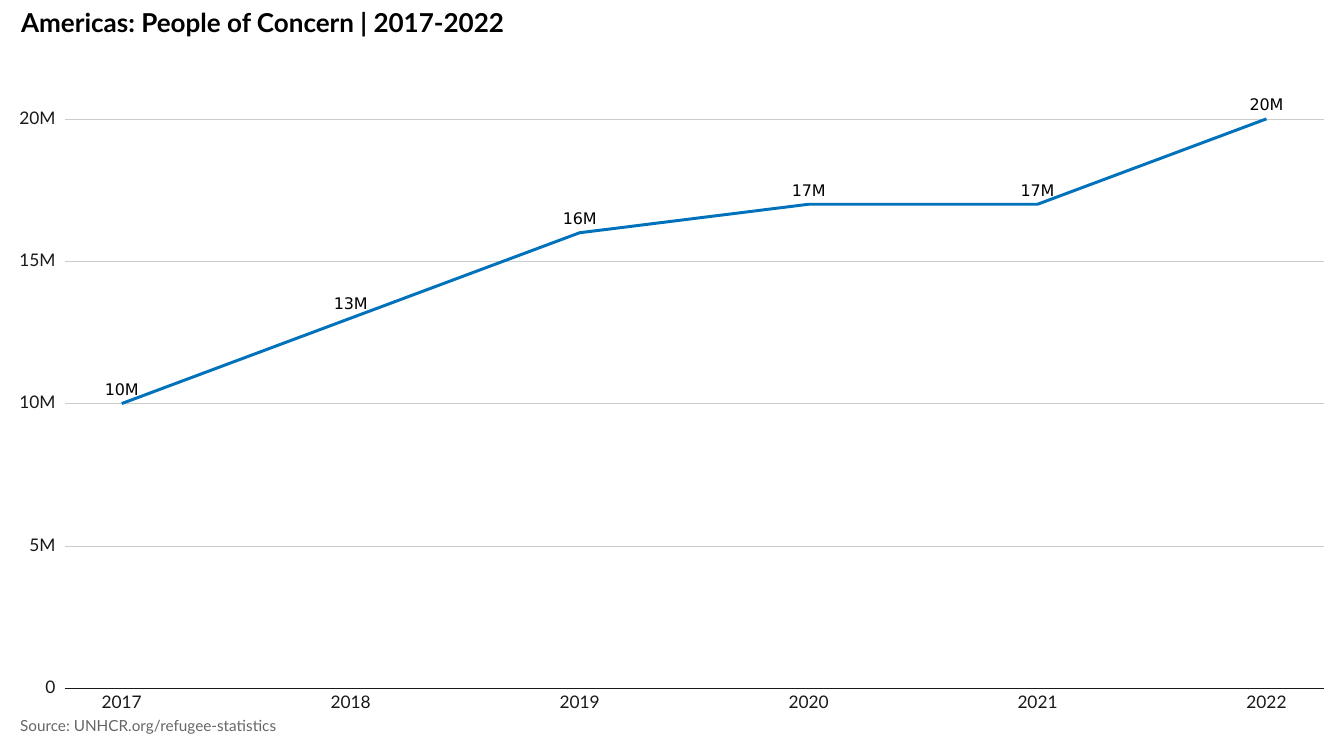
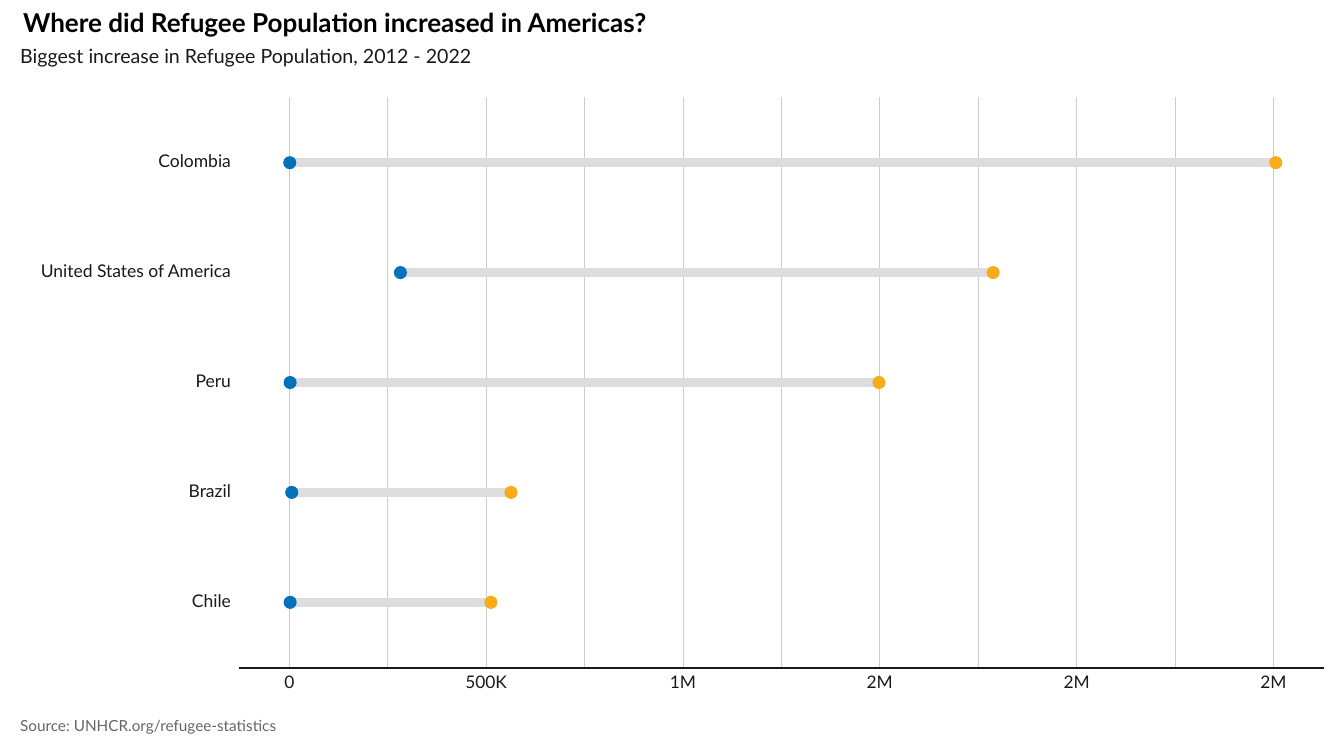
from lxml import etree
from pptx import Presentation
from pptx import util as u
from pptx.chart import data as chart_data
from pptx.dml.color import RGBColor
from pptx.enum import chart as charts, shapes, text
from pptx.oxml import parse_xml
from pptx.oxml.ns import nsdecls, qn

WIDTH, HEIGHT = 13.33, 7.5
COLORS = {name: RGBColor.from_string(code) for name, code in {
    "title": "000000", "text": "191919", "source": "666666", "grid": "CCCCCC",
    "range": "DDDDDD", "blue": "0072BC", "yellow": "FAAB18"}.items()}
ALIGN = text.PP_ALIGN
# Share of the box width that lies left of its anchor point
SHIFT = {ALIGN.LEFT: 0, ALIGN.CENTER: 0.5, ALIGN.RIGHT: 1}
NO_FILL = f"<c:spPr {nsdecls('c', 'a')}><a:noFill/><a:ln><a:noFill/></a:ln></c:spPr>"


def write(page, words, x, y, align=ALIGN.LEFT, width=1.0, size=12.4, color="text", bold=False):
    """Set one line of text, centred on height y and aligned to x."""
    height = 0.3
    box = page.shapes.add_textbox(u.Inches(x - SHIFT[align] * width), u.Inches(y - height / 2),
                                  u.Inches(width), u.Inches(height))
    frame = box.text_frame
    frame.word_wrap = True
    frame.vertical_anchor = text.MSO_ANCHOR.MIDDLE
    frame.margin_left = frame.margin_right = frame.margin_top = frame.margin_bottom = 0
    para = frame.paragraphs[0]
    para.text = words
    para.alignment = align
    para.line_spacing = u.Pt(size)
    para.font.name, para.font.size, para.font.bold = "Lato", u.Pt(size), bold
    para.font.color.rgb = COLORS[color]


def rule(page, x1, y1, x2, y2, color="grid", weight=0.53):
    """Draw a straight line without a shadow."""
    line = page.shapes.add_connector(shapes.MSO_CONNECTOR.STRAIGHT,
                                     *(u.Inches(v) for v in (x1, y1, x2, y2)))
    line.line.color.rgb = COLORS[color]
    line.line.width = u.Pt(weight)
    etree.SubElement(line._element.spPr, qn("a:effectLst"))


deck = Presentation()
deck.slide_width, deck.slide_height = u.Inches(WIDTH), u.Inches(HEIGHT)

pages = []
for title, x in (("Americas: People of Concern | 2017-2022", 0.21),
                 ("Where did Refugee Population increased in Americas?", 0.23)):
    page = deck.slides.add_slide(deck.slide_layouts[6])
    write(page, title, x, 0.25, width=12, size=18.6, color="title", bold=True)
    write(page, "Source: UNHCR.org/refugee-statistics", 0.2, 7.21, width=6, size=10.9,
          color="source")
    pages.append(page)
trend_page, increase_page = pages
RIGHT = 13.13

# Slide 1: people of concern by year, in millions
people = {"2017": 10, "2018": 13, "2019": 16, "2020": 17, "2021": 17, "2022": 20}
left, top, base = 0.64, 1.18, 6.83
year_step = (RIGHT - left) / 5.5
first_year = left + year_step / 4
row = (base - top) / 4

for index, label in enumerate(("0", "5M", "10M", "15M", "20M")):
    y = base - index * row
    rule(trend_page, left, y, RIGHT, y)
    write(trend_page, label, 0.55, y, ALIGN.RIGHT, width=0.5)
rule(trend_page, left, base, RIGHT, base, "text", 1.2)
for index, year in enumerate(people):
    write(trend_page, year, first_year + index * year_step, 6.98, ALIGN.CENTER)

trend_data = chart_data.CategoryChartData()
trend_data.categories = list(people)
trend_data.add_series("People of concern (millions)", list(people.values()))
trend = trend_page.shapes.add_chart(charts.XL_CHART_TYPE.LINE, 0, 0, deck.slide_width,
                                    deck.slide_height, trend_data).chart
trend.has_title = trend.has_legend = False
trend.font.name, trend.font.size = "Lato", u.Pt(12.4)
trend.plots[0].vary_by_categories = False
trend.value_axis.minimum_scale, trend.value_axis.maximum_scale = 0, 20
for axis in (trend.category_axis, trend.value_axis):
    axis.has_major_gridlines = False
    axis.visible = False

series = trend.plots[0].series[0]
series.smooth = False
series.marker.style = charts.XL_MARKER_STYLE.NONE
series.format.line.color.rgb = COLORS["blue"]
series.format.line.width = u.Pt(2.13)
labels = series.data_labels
labels.show_value = True
labels.position = charts.XL_LABEL_POSITION.ABOVE
labels.number_format, labels.number_format_is_linked = '0"M"', False
labels.font.name, labels.font.size = "DejaVu Sans", u.Pt(11.4)
labels.font.color.rgb = COLORS["title"]

# The first and last years sit on the edges of the plot
value_axis = trend.value_axis._element
for between in value_axis.findall(qn("c:crossBetween")):
    value_axis.remove(between)
value_axis.find(qn("c:crosses")).addnext(
    parse_xml(f"<c:crossBetween {nsdecls('c')} val='midCat'/>"))

# A see-through plot placed exactly on the drawn grid
shares = {"x": first_year / WIDTH, "y": top / HEIGHT,
          "w": 5 * year_step / WIDTH, "h": (base - top) / HEIGHT}
sizes = "".join(f"<c:{key} val='{share:.4f}'/>" for key, share in shares.items())
chart_element = trend._chartSpace.find(qn("c:chart"))
plot_area = chart_element.find(qn("c:plotArea"))
for layout in plot_area.findall(qn("c:layout")):
    plot_area.remove(layout)
plot_area.insert(0, parse_xml(
    f"<c:layout {nsdecls('c')}><c:manualLayout><c:layoutTarget val='inner'/>"
    f"<c:xMode val='edge'/><c:yMode val='edge'/>{sizes}</c:manualLayout></c:layout>"))
plot_area.append(parse_xml(NO_FILL))
chart_element.addnext(parse_xml(NO_FILL))

# Slide 2: refugees in 2012 and 2022, in thousands
countries = {"Colombia": (1, 2506), "United States of America": (282, 1788),
             "Peru": (2, 1498), "Brazil": (6, 563), "Chile": (2, 512)}
left, zero, top, base = 2.37, 2.87, 0.96, 6.63
column = 0.98 * (12.63 - zero) / 9.8  # one column is 250 thousand
row = (base - top) / 5.2
diameter = 0.12

write(increase_page, "Biggest increase in Refugee Population, 2012 - 2022", 0.2, 0.57,
      width=8, size=14)
for index in range(11):
    x = zero + index * column
    rule(increase_page, x, base, x, top)
rule(increase_page, left, base, RIGHT, base, "text", 1.2)
for index, label in enumerate(("0", "500K", "1M", "2M", "2M", "2M")):
    write(increase_page, label, zero + 2 * index * column, 6.78, ALIGN.CENTER)

for index, (country, values) in enumerate(countries.items()):
    y = top + (index + 0.6) * row
    start, end = (zero + value / 250 * column for value in values)
    write(increase_page, country, 2.29, y, ALIGN.RIGHT, width=2.1, size=12.5)
    rule(increase_page, start, y, end, y, "range", 6.4)
    for x, color in ((start, "blue"), (end, "yellow")):
        dot = increase_page.shapes.add_shape(
            shapes.MSO_SHAPE.OVAL, u.Inches(x - diameter / 2), u.Inches(y - diameter / 2),
            u.Inches(diameter), u.Inches(diameter))
        dot.shadow.inherit = False
        dot.fill.solid()
        dot.fill.fore_color.rgb = dot.line.color.rgb = COLORS[color]
        dot.line.width = u.Pt(0.71)

deck.save("out.pptx")
